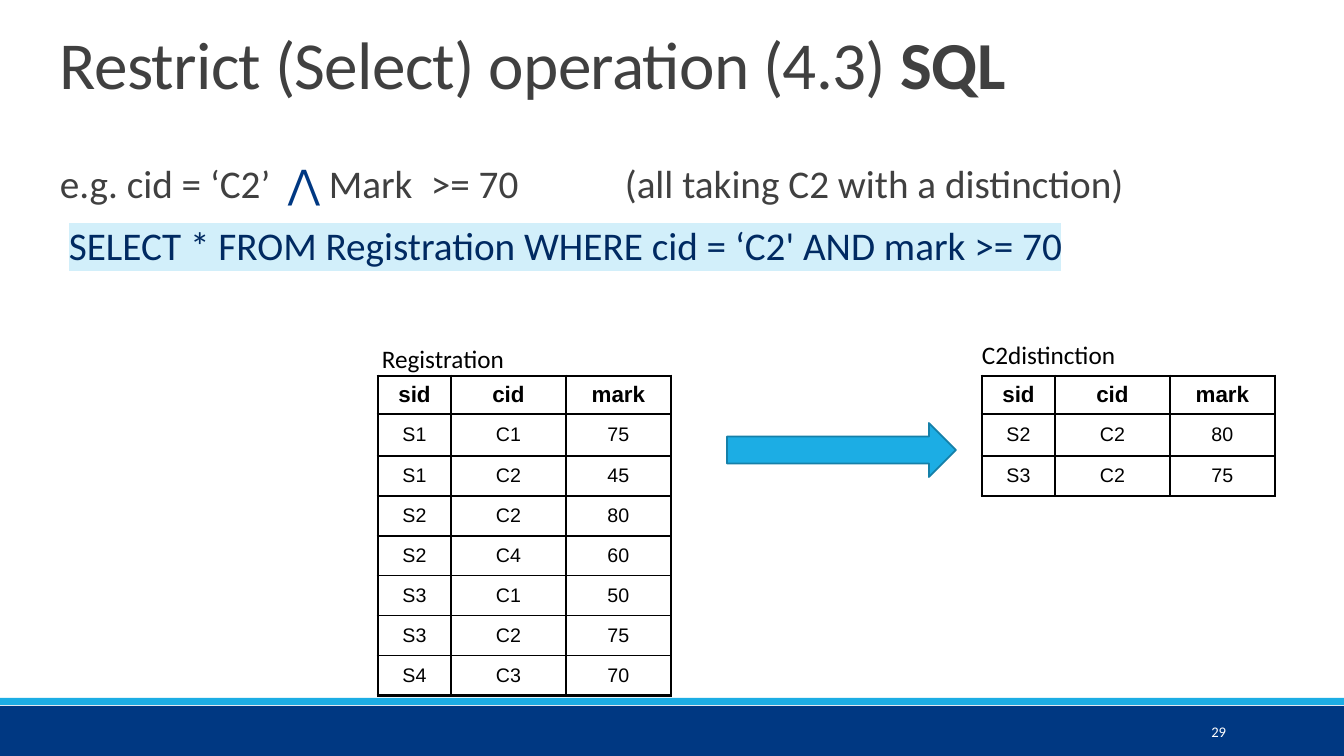
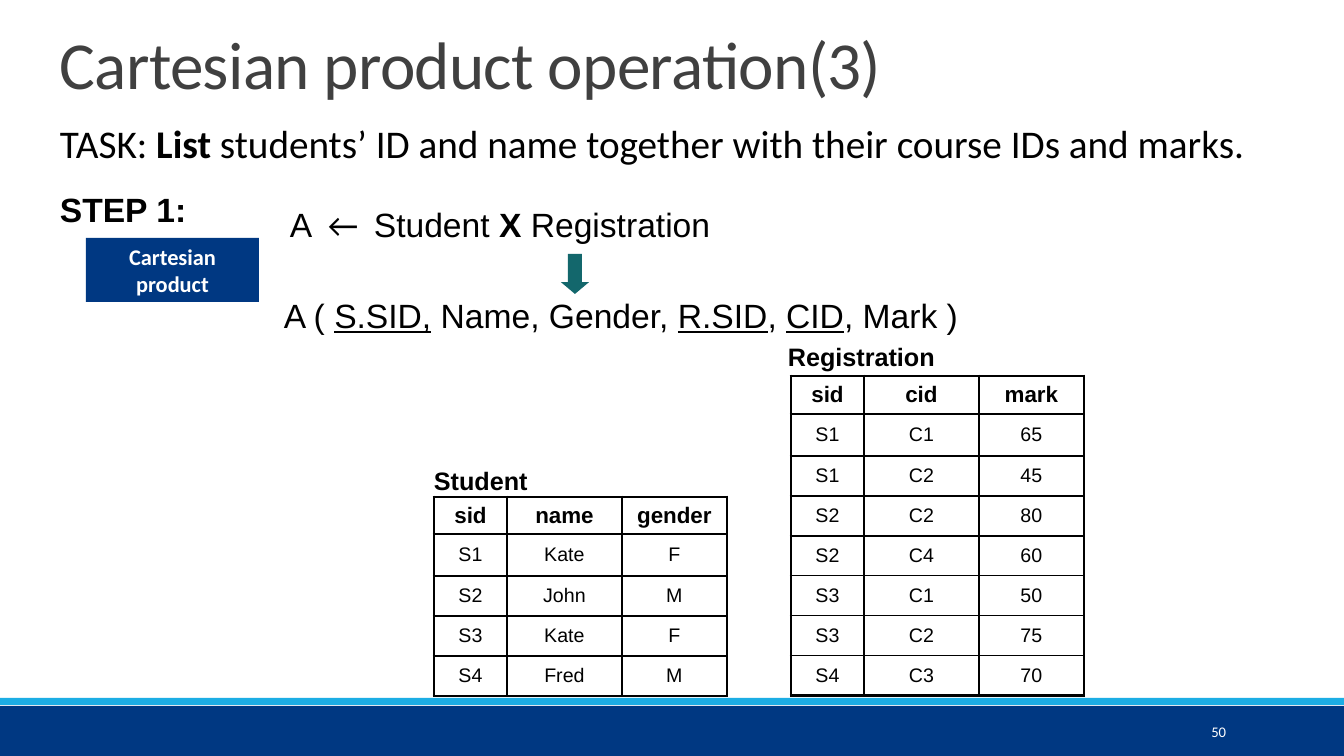
"""Build two lecture slides on relational operations: restrict and Cartesian product."""
from dataclasses import dataclass, field
from typing import Any

from lxml import etree
from pptx import Presentation
from pptx.dml.color import RGBColor
from pptx.enum.shapes import MSO_SHAPE
from pptx.enum.text import MSO_ANCHOR, PP_ALIGN
from pptx.oxml.ns import qn
from pptx.util import Emu, Pt

PX_PER_INCH = 100.8
EMU_PER_PX = 914400 / PX_PER_INCH
SLIDE_W, SLIDE_H = 1344, 756
RECT, RIGHT_ARROW, DOWN_ARROW = MSO_SHAPE.RECTANGLE, MSO_SHAPE.RIGHT_ARROW, MSO_SHAPE.DOWN_ARROW
LEFT, CENTER, RIGHT = PP_ALIGN.LEFT, PP_ALIGN.CENTER, PP_ALIGN.RIGHT
TOP, MIDDLE = MSO_ANCHOR.TOP, MSO_ANCHOR.MIDDLE

COLORS = {
    "black": "000000", "white": "FFFFFF", "grey": "404040", "navy": "003882",
    "sky": "1CADE4", "sky_edge": "1580A9", "query": "002A62",
    "query_back": "D2EFFA", "teal": "13676C",
}
TITLE = {"size": Pt(48), "name": "Calibri", "color": "grey", "spacing": -50}
BODY = {"size": Pt(28), "name": "Calibri", "color": "grey"}
TASK = {**BODY, "color": "black"}
CAPTION = {"size": Pt(18), "name": "Calibri", "color": "black"}
FORMULA = {"size": Pt(24), "name": "Arial", "color": "black"}
CELL = {"size": Pt(14), "name": "Arial", "color": "black"}
HEADER = {**CELL, "size": Pt(16), "bold": True}
BADGE = {"size": Pt(16), "name": "Calibri", "color": "white", "bold": True}
PAGE_NUMBER = {"size": Pt(10.5), "name": "Calibri", "color": "white"}
BOLD = {"bold": True}
UNDERLINE = {"underline": True}

COLUMN_WIDTHS = (73, 115, 105)
FIRST_ROW_H, ROW_H = 42, 40
THICK, THIN = Pt(2.25), Pt(1)


@dataclass
class Box:
    left: int
    top: int
    width: int
    height: int

    def emu(self) -> tuple[Emu, ...]:
        return tuple(px(v) for v in (self.left, self.top, self.width, self.height))


@dataclass
class Span:
    text: str
    changes: dict[str, Any] = field(default_factory=dict)


@dataclass
class Line:
    spans: list[Span]
    style: dict[str, Any]
    layout: dict[str, Any] = field(default_factory=dict)
    tabs: tuple[int, ...] = ()
    indent: int = 0


@dataclass
class Relation:
    left: int
    top: int
    header_h: int
    rows: list[str]
    closed: bool = True


def px(value: int) -> Emu:
    return Emu(round(value * EMU_PER_PX))


def rgb(name: str) -> RGBColor:
    return RGBColor.from_string(COLORS[name])


def add_color(parent: Any, tag: str, color: str) -> Any:
    node = etree.SubElement(parent, qn(tag))
    etree.SubElement(node, qn("a:srgbClr"), val=COLORS[color])
    return node


def format_run(run: Any, style: dict[str, Any]) -> None:
    for key, value in style.items():
        if key == "color":
            run.font.color.rgb = rgb(value)
        elif key not in ("spacing", "highlight"):
            setattr(run.font, key, value)
    properties = run._r.get_or_add_rPr()
    if "spacing" in style:
        properties.set("spc", str(style["spacing"]))
    if "highlight" in style:
        mark = add_color(properties, "a:highlight", style["highlight"])
        properties.find(qn("a:solidFill")).addnext(mark)


def write(frame: Any, lines: list[Line], anchor: Any = TOP) -> None:
    frame.word_wrap = True
    frame.vertical_anchor = anchor
    for index, line in enumerate(lines):
        paragraph = frame.add_paragraph() if index else frame.paragraphs[0]
        for key, value in line.layout.items():
            setattr(paragraph, key, value)
        properties = paragraph._p.get_or_add_pPr()
        if line.indent:
            properties.set("marL", str(px(line.indent)))
            properties.set("indent", "0")
        if line.tabs:
            stops = etree.SubElement(properties, qn("a:tabLst"))
            for stop in line.tabs:
                etree.SubElement(stops, qn("a:tab"), pos=str(px(stop)), algn="l")
        for span in line.spans:
            run = paragraph.add_run()
            run.text = span.text
            format_run(run, {**line.style, **span.changes})


def add_text(slide: Any, box: Box, lines: list[Line], anchor: Any = TOP) -> None:
    write(slide.shapes.add_textbox(*box.emu()).text_frame, lines, anchor)


def add_caption(slide: Any, left: int, top: int, text: str, style: dict[str, Any]) -> None:
    add_text(slide, Box(left, top, 200, 40), [Line([Span(text)], style)])


def add_block(slide: Any, kind: Any, box: Box, fill: str, edge: str = "") -> Any:
    shape = slide.shapes.add_shape(kind, *box.emu())
    shape.shadow.inherit = False
    shape.fill.solid()
    shape.fill.fore_color.rgb = rgb(fill)
    if edge:
        shape.line.color.rgb = rgb(edge)
        shape.line.width = Pt(1.25)
    else:
        shape.line.fill.background()
    return shape


def set_borders(cell: Any, widths: dict[str, Emu]) -> None:
    properties = cell._tc.get_or_add_tcPr()
    for index, (side, width) in enumerate(widths.items()):
        edge = etree.Element(qn(f"a:ln{side}"), w=str(width))
        add_color(edge, "a:solidFill", "black")
        properties.insert(index, edge)


def add_relation(slide: Any, relation: Relation) -> None:
    records = [row.split() for row in relation.rows]
    heights = [relation.header_h, FIRST_ROW_H] + [ROW_H] * (len(records) - 2)
    box = Box(relation.left, relation.top, sum(COLUMN_WIDTHS), sum(heights))
    table = slide.shapes.add_table(len(records), len(COLUMN_WIDTHS), *box.emu()).table
    table.first_row = table.horz_banding = False
    for column, width in zip(table.columns, COLUMN_WIDTHS):
        column.width = px(width)
    last_row, last_column = len(records) - 1, len(COLUMN_WIDTHS) - 1
    for r, record in enumerate(records):
        table.rows[r].height = px(heights[r])
        for c, value in enumerate(record):
            cell = table.cell(r, c)
            cell.fill.background()
            cell.vertical_anchor = MIDDLE
            style = CELL if r else HEADER
            write(cell.text_frame, [Line([Span(value)], style, {"alignment": CENTER})], MIDDLE)
            set_borders(cell, {
                "L": THIN if c else THICK,
                "R": THICK if c == last_column else THIN,
                "T": THIN if r else THICK,
                "B": THICK if r == last_row and relation.closed else THIN,
            })


def add_base(deck: Any, title: list[Span], number: str) -> Any:
    slide = deck.slides.add_slide(deck.slide_layouts[6])
    add_block(slide, RECT, Box(0, 706, SLIDE_W, 50), "navy")
    add_block(slide, RECT, Box(0, 698, SLIDE_W, 7), "sky")
    add_text(slide, Box(1092, 712, 144, 40),
             [Line([Span(number)], PAGE_NUMBER, {"alignment": RIGHT})], MIDDLE)
    add_text(slide, Box(50, 30, 1018, 126), [Line(title, TITLE, {"line_spacing": 0.85})])
    return slide


def build_restrict(deck: Any) -> None:
    slide = add_base(deck, [Span("Restrict (Select) operation (4.3) "), Span("SQL", BOLD)], "29")
    condition = [Span("e.g. cid = ‘C2’\t"), Span("⋀ ", {"color": "navy"}),
                 Span("Mark\t>= 70\t(all taking C2 with a distinction)")]
    query = [Span("SELECT * FROM Registration WHERE cid = ‘C2' AND mark >= 70",
                  {"color": "query", "highlight": "query_back"})]
    spacing = {"line_spacing": 0.9, "space_after": Pt(2)}
    add_text(slide, Box(50, 160, 1225, 130), [
        Line(condition, BODY, spacing, tabs=(228, 371, 565)),
        Line(query, BODY, {**spacing, "space_before": Pt(12)}, indent=9),
    ])
    add_relation(slide, Relation(378, 376, 38, [
        "sid cid mark", "S1 C1 75", "S1 C2 45", "S2 C2 80",
        "S2 C4 60", "S3 C1 50", "S3 C2 75", "S4 C3 70"]))
    add_relation(slide, Relation(982, 376, 38, ["sid cid mark", "S2 C2 80", "S3 C2 75"], False))
    add_caption(slide, 372, 338, "Registration", CAPTION)
    add_caption(slide, 972, 334, "C2distinction", CAPTION)
    add_block(slide, RIGHT_ARROW, Box(727, 423, 229, 54), "sky", "sky_edge")


def build_product(deck: Any) -> None:
    slide = add_base(deck, [Span("Cartesian product operation(3)")], "50")
    add_text(slide, Box(50, 114, 1226, 57), [Line(
        [Span("TASK: "), Span("List", BOLD),
         Span(" students’ ID and name together with their course IDs and marks.")], TASK)])
    add_text(slide, Box(50, 184, 160, 50), [Line([Span("STEP 1:", BOLD)], FORMULA)])
    add_text(slide, Box(280, 199, 611, 50), [Line(
        [Span("A\t"), Span("←\t", {"name": "Calibri"}), Span("Student "),
         Span("X", BOLD), Span(" Registration")], FORMULA, tabs=(38, 84))])
    badge = add_block(slide, RECT, Box(86, 238, 173, 64), "navy")
    write(badge.text_frame,
          [Line([Span("Cartesian product")], BADGE, {"alignment": CENTER})], MIDDLE)
    add_text(slide, Box(274, 290, 843, 50), [Line(
        [Span("A ( "), Span("S.SID,", UNDERLINE), Span(" Name, Gender, "),
         Span("R.SID", UNDERLINE), Span(", "), Span("CID", UNDERLINE), Span(", Mark )")],
        FORMULA)])
    arrow = add_block(slide, DOWN_ARROW, Box(561, 254, 28, 40), "teal")
    arrow.adjustments[1] = 0.42
    add_relation(slide, Relation(434, 497, 37, [
        "sid name gender", "S1 Kate F", "S2 John M", "S3 Kate F", "S4 Fred M"]))
    add_relation(slide, Relation(791, 376, 38, [
        "sid cid mark", "S1 C1 65", "S1 C2 45", "S2 C2 80",
        "S2 C4 60", "S3 C1 50", "S3 C2 75", "S4 C3 70"]))
    heading = {**CAPTION, "name": "Arial", "bold": True}
    add_caption(slide, 424, 460, "Student", heading)
    add_caption(slide, 778, 336, "Registration", heading)


def main() -> None:
    deck = Presentation()
    deck.slide_width, deck.slide_height = px(SLIDE_W), px(SLIDE_H)
    build_restrict(deck)
    build_product(deck)
    deck.save("out.pptx")


if __name__ == "__main__":
    main()
